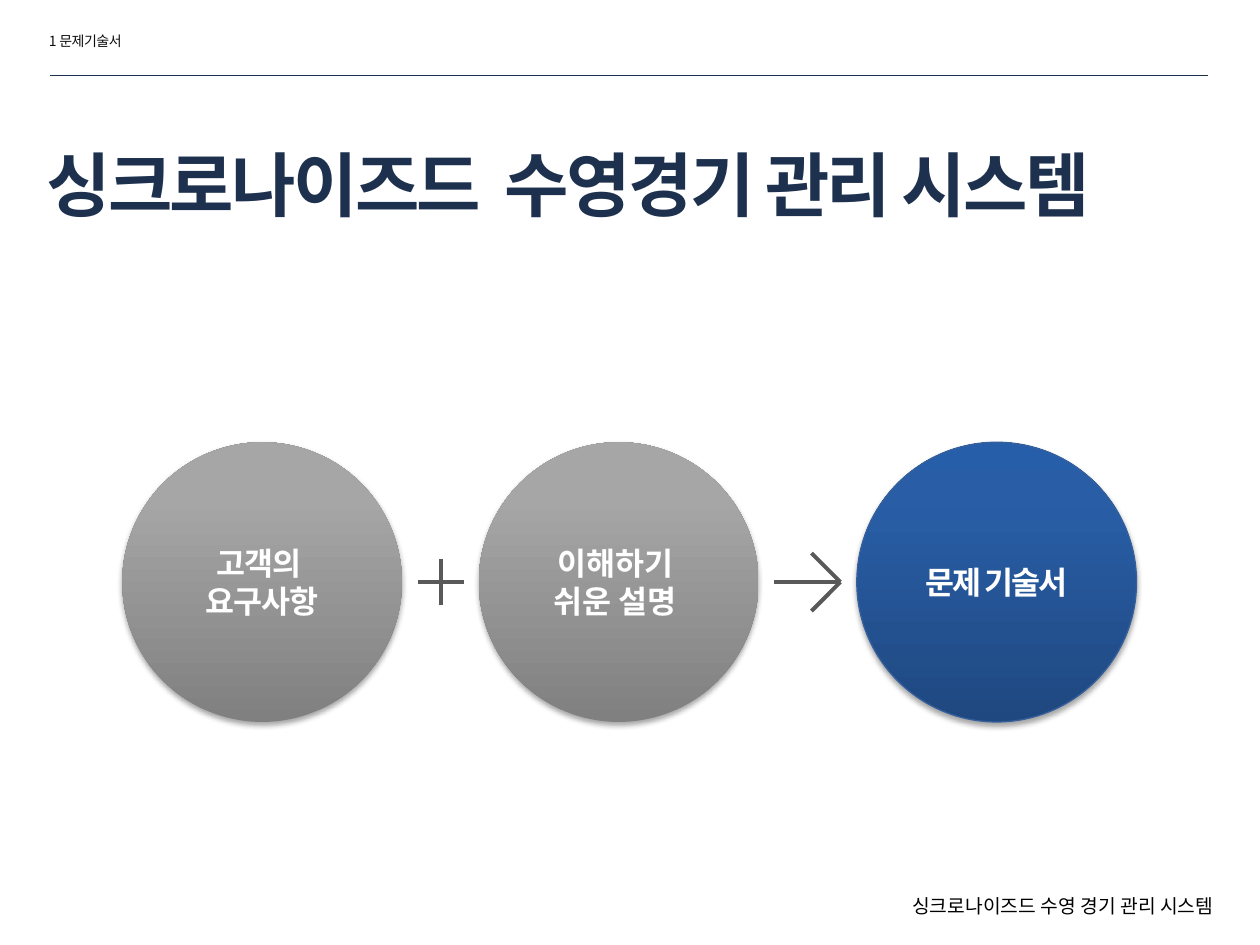
from lxml.etree import SubElement
from pptx import Presentation
from pptx.dml.color import RGBColor
from pptx.enum.shapes import MSO_CONNECTOR, MSO_SHAPE
from pptx.enum.text import MSO_ANCHOR, MSO_AUTO_SIZE, PP_ALIGN
from pptx.oxml import parse_xml
from pptx.oxml.ns import nsdecls, qn
from pptx.util import Inches, Pt

FONT = "Noto Sans CJK KR"
WIDTH, HEIGHT = 10, 7.5

# Content: text, left, top, width, height, size, colour, bold, spacing, anchor
TEXTS = [
    ("싱크로나이즈드  수영경기 관리 시스템", 0.27, 0.99, 9.28, 0.94, 40, "1D314E", True, -1.5, MSO_ANCHOR.MIDDLE),
    ("싱크로나이즈드 수영 경기 관리 시스템", 7.14, 7.05, 2.86, 0.29, 11, "000000", False, 0, MSO_ANCHOR.TOP),
    ("1 문제기술서", 0.29, 0.21, 1.73, 0.24, 8, "0D0D0D", False, -0.3, MSO_ANCHOR.TOP),
]
GREY = [(0, "808080"), (80, "A6A6A6")]
BLUE = [(0, "1F4880"), (80, "295EA7"), (100, "265EAA")]
# Circles: lines, left, gradient, outline, letter spacing
CIRCLES = [
    (["고객의 ", "요구사항"], 0.97, GREY, None, -0.5),
    (["이해하기 ", "쉬운 설명 "], 3.8, GREY, None, 0),
    (["문제 기술서"], 6.8, BLUE, "35609C", -1.2),
]
DIAMETER, MIDDLE = 2.22, 4.62
SIGN_COLOR = "595959"
PLUS_X, PLUS_ARM = 3.5, 0.185
ARROW_TAIL, ARROW_TIP, ARROW_HEAD = 6.14, 6.67, 0.23


def rgb(value):
    return RGBColor.from_string(value)


def add_line(slide, x1, y1, x2, y2, color, width):
    line = slide.shapes.add_connector(
        MSO_CONNECTOR.STRAIGHT, *(Inches(v) for v in (x1, y1, x2, y2)))
    line.line.color.rgb = rgb(color)
    line.line.width = Pt(width)
    SubElement(line._element.spPr, qn("a:effectLst"))


def add_run(paragraph, text, size, color, bold, spacing):
    run = paragraph.add_run()
    run.text = text
    run.font.size = Pt(size)
    run.font.bold = bold
    run.font.name = FONT
    run.font.color.rgb = rgb(color)
    properties = run._r.get_or_add_rPr()
    if spacing:
        properties.set("spc", str(round(spacing * 100)))
    SubElement(properties, qn("a:ea")).set("typeface", FONT)


def add_text(slide, text, left, top, width, height, size, color, bold, spacing, anchor):
    box = slide.shapes.add_textbox(*(Inches(v) for v in (left, top, width, height)))
    frame = box.text_frame
    frame.word_wrap = True
    frame.vertical_anchor = anchor
    if anchor == MSO_ANCHOR.TOP:
        frame.auto_size = MSO_AUTO_SIZE.SHAPE_TO_FIT_TEXT
    add_run(frame.paragraphs[0], text, size, color, bold, spacing)


def add_circle(slide, lines, left, stops, outline, spacing):
    circle = slide.shapes.add_shape(
        MSO_SHAPE.OVAL, Inches(left), Inches(MIDDLE - DIAMETER / 2),
        Inches(DIAMETER), Inches(DIAMETER))
    if outline:
        circle.line.color.rgb = rgb(outline)
        circle.line.width = Pt(0.75)
    else:
        circle.line.fill.background()

    # Upward gradient and soft shadow below
    stop_xml = "".join(
        f'<a:gs pos="{share * 1000}"><a:srgbClr val="{color}"/></a:gs>'
        for share, color in stops)
    properties = circle._element.spPr
    properties.find(qn("a:prstGeom")).addnext(parse_xml(
        f'<a:gradFill {nsdecls("a")} rotWithShape="1"><a:gsLst>{stop_xml}</a:gsLst>'
        '<a:lin ang="16200000" scaled="0"/></a:gradFill>'))
    properties.append(parse_xml(
        f'<a:effectLst {nsdecls("a")}><a:outerShdw blurRad="{Pt(3.1)}" dist="{Pt(1.8)}" '
        'dir="5400000" rotWithShape="0"><a:srgbClr val="000000"><a:alpha val="35000"/>'
        '</a:srgbClr></a:outerShdw></a:effectLst>'))

    frame = circle.text_frame
    frame.word_wrap = True
    frame.vertical_anchor = MSO_ANCHOR.MIDDLE
    for index, text in enumerate(lines):
        paragraph = frame.add_paragraph() if index else frame.paragraphs[0]
        paragraph.alignment = PP_ALIGN.CENTER
        add_run(paragraph, text, 18, "FFFFFF", True, spacing)


def main():
    deck = Presentation()
    deck.slide_width, deck.slide_height = Inches(WIDTH), Inches(HEIGHT)
    slide = deck.slides.add_slide(deck.slide_layouts[6])

    # Arrow, plus sign and header rule
    signs = [
        (ARROW_TIP - ARROW_HEAD, MIDDLE - ARROW_HEAD, ARROW_TIP, MIDDLE),
        (ARROW_TIP, MIDDLE, ARROW_TIP - ARROW_HEAD, MIDDLE + ARROW_HEAD),
        (ARROW_TIP, MIDDLE, ARROW_TAIL, MIDDLE),
        (PLUS_X + PLUS_ARM, MIDDLE, PLUS_X - PLUS_ARM, MIDDLE),
        (PLUS_X, MIDDLE + PLUS_ARM, PLUS_X, MIDDLE - PLUS_ARM),
    ]
    for ends in signs:
        add_line(slide, *ends, SIGN_COLOR, 2.25)
    add_line(slide, 0.4, 0.6, 9.59, 0.6, "1C314E", 0.25)

    for circle in CIRCLES:
        add_circle(slide, *circle)
    for text in TEXTS:
        add_text(slide, *text)
    deck.save("out.pptx")


if __name__ == "__main__":
    main()
